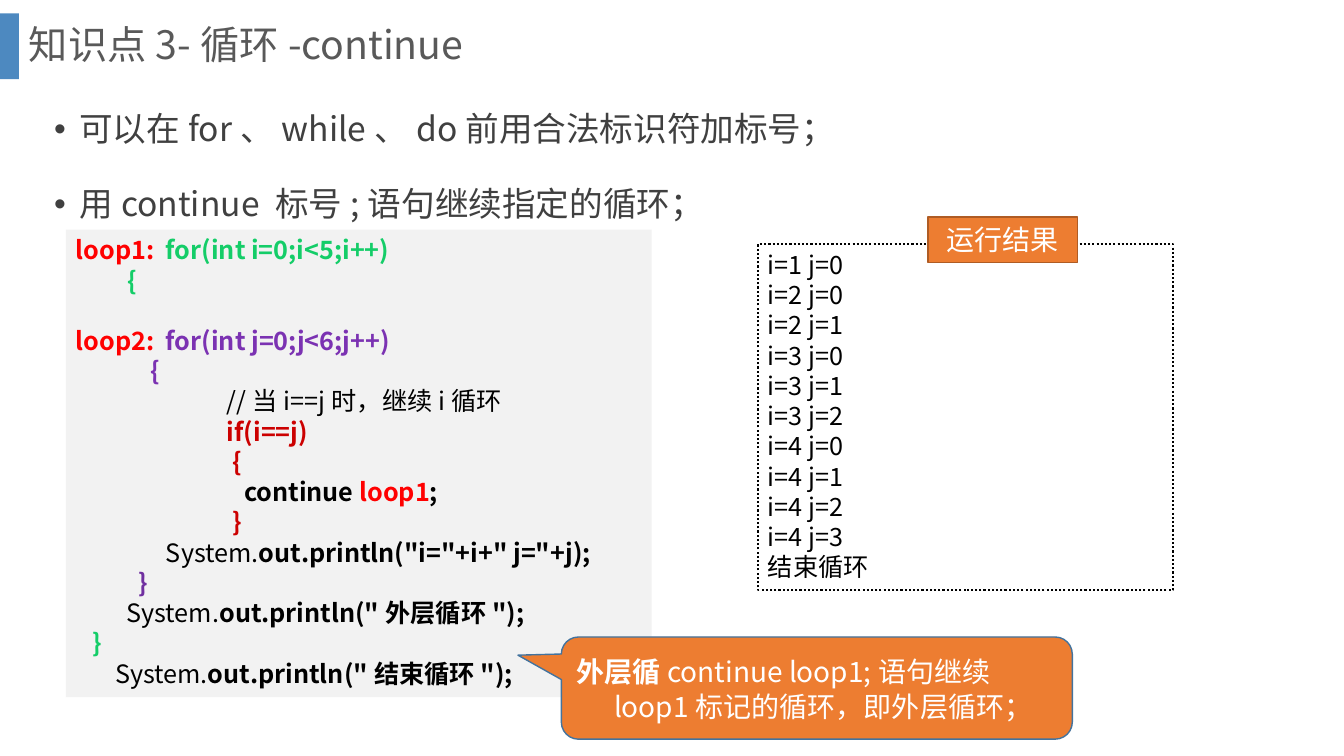
"""Build the slide on continue with loop labels."""
from lxml import etree
from pptx import Presentation
from pptx import util as u
from pptx.dml import color
from pptx.enum import dml, shapes, text
from pptx.oxml import ns

Pt = u.Pt
RGB = color.RGBColor
FONT = "Noto Sans CJK SC"
BLUE = RGB(0x2E, 0x75, 0xB6)
ORANGE = RGB(0xED, 0x7D, 0x31)
ORANGE_EDGE = RGB(0xAF, 0x5C, 0x24)
BLUE_EDGE = RGB(0x43, 0x73, 0x9E)
PANEL = RGB(0xF2, 0xF2, 0xF2)
WHITE = RGB(0xFF, 0xFF, 0xFF)
BLACK = RGB(0x00, 0x00, 0x00)
TITLE_GREY = RGB(0x59, 0x59, 0x59)
BODY_GREY = RGB(0x40, 0x40, 0x40)
RED = RGB(0xFF, 0x00, 0x00)
DARK_RED = RGB(0xCC, 0x00, 0x00)
GREEN = RGB(0x14, 0xCD, 0x68)
VIOLET = RGB(0x7B, 0x32, 0xB2)
PURPLE = RGB(0x70, 0x30, 0xA0)


def add_box(slide, kind, place, fill, line=None, width=1):
    shape = slide.shapes.add_shape(kind, *map(Pt, place))
    shape.shadow.inherit = False
    if fill is None:
        shape.fill.background()
    else:
        shape.fill.solid()
        shape.fill.fore_color.rgb = fill
    if line is None:
        shape.line.fill.background()
    else:
        shape.line.color.rgb = line
        shape.line.width = Pt(width)
    return shape


def write_lines(shape, lines, size, anchor, font=FONT, margin=0, indent=0, **formats):
    frame = shape.text_frame
    frame.word_wrap = True
    frame.auto_size = text.MSO_AUTO_SIZE.NONE
    frame.vertical_anchor = anchor
    for index, runs in enumerate(lines):
        paragraph = frame.paragraphs[0] if index == 0 else frame.add_paragraph()
        values = {"alignment": text.PP_ALIGN.LEFT, "space_before": Pt(0), **formats}
        if index == 0:
            values["space_before"] = Pt(0)
        for name, value in values.items():
            setattr(paragraph, name, value)
        properties = paragraph._p.get_or_add_pPr()
        properties.set("marL", str(Pt(margin)))
        properties.set("indent", str(Pt(indent)))
        for words, ink, bold in runs:
            run = paragraph.add_run()
            run.text = words
            for name, value in {"name": font, "size": Pt(size), "bold": bold}.items():
                setattr(run.font, name, value)
            run.font.color.rgb = ink
            east_asian = etree.SubElement(run._r.get_or_add_rPr(), ns.qn("a:ea"))
            east_asian.set("typeface", FONT)


presentation = Presentation()
presentation.slide_width = Pt(960)
presentation.slide_height = Pt(540)
slide = presentation.slides.add_slide(presentation.slide_layouts[1])
TOP, MIDDLE = text.MSO_ANCHOR.TOP, text.MSO_ANCHOR.MIDDLE
RECTANGLE = shapes.MSO_SHAPE.RECTANGLE

title, body = slide.shapes.title, slide.placeholders[1]
places = [(title, (13.5, 0, 911.5, 67)), (body, (31.5, 59, 867.5, 139.5))]
for placeholder, place in places:
    for side, value in zip(("left", "top", "width", "height"), place):
        setattr(placeholder, side, Pt(value))
write_lines(title, [[("知识点3-循环-continue", TITLE_GREY, False)]], 28, MIDDLE,
            line_spacing=0.9)
bullets = ["可以在for、while、do前用合法标识符加标号；", "用continue 标号;语句继续指定的循环；"]
write_lines(body, [[(bullet, BODY_GREY, False)] for bullet in bullets], 24, TOP,
            margin=18, indent=-18, line_spacing=Pt(43.6), space_before=Pt(10))

bar = add_box(slide, RECTANGLE, (0, 9.5, 13.5, 47), BLUE)
bar_color = bar.fill._xPr.find(ns.qn("a:solidFill"))[0]
etree.SubElement(bar_color, ns.qn("a:alpha")).set("val", "85000")

code = [
    [("loop1:  ", RED, True), ("for(int i=0;i<5;i++)", GREEN, True)],
    [("         {", GREEN, True)],
    [("loop2:  ", RED, True), ("for(int j=0;j<6;j++)", VIOLET, True)],
    [("             {", VIOLET, True)],
    [("//当i==j时，继续i循环", BLACK, False)],
    [("if(i==j)", DARK_RED, True)],
    [(" {", DARK_RED, True)],
    [("   continue ", BLACK, True), ("loop1", RED, True), (";", BLACK, True)],
    [(" }", DARK_RED, True)],
    [("                System.", BLACK, False),
     ('out.println("i="+i+" j="+j);', BLACK, True)],
    [("        ", BLACK, False), ("   }", PURPLE, True)],
    [("         System.", BLACK, False), ('out.println("外层循环");', BLACK, True)],
    [("   }", GREEN, True)],
    [("       System.", BLACK, False), ('out.println("结束循环");', BLACK, True)],
]
panel = add_box(slide, RECTANGLE, (47, 164, 418.5, 334), PANEL)
write_lines(panel, code, 18, TOP, line_spacing=Pt(21.6))
code_paragraphs = panel.text_frame.paragraphs
code_paragraphs[2].space_before = Pt(21.6)
for paragraph in code_paragraphs[4:9]:
    paragraph._p.get_or_add_pPr().set("marL", str(Pt(108)))

output = [f"i={i} j={j}" for i in range(1, 5) for j in range(i)] + ["结束循环"]
result = add_box(slide, RECTANGLE, (541.5, 174.5, 296.5, 247), None, BLACK, 1.5)
result.line.dash_style = dml.MSO_LINE.ROUND_DOT
write_lines(result, [[(line, BLACK, False)] for line in output], 18, TOP,
            line_spacing=Pt(21.6))

callout = add_box(slide, shapes.MSO_SHAPE.ROUNDED_RECTANGULAR_CALLOUT,
                  (401, 455, 365, 73), ORANGE, BLUE_EDGE)
for index, value in enumerate((-0.585, -0.322, 0.167)):
    callout.adjustments[index] = value
remark = [("外层循", WHITE, True),
          ("continue loop1;语句继续loop1标记的循环，即外层循环；", WHITE, False)]
write_lines(callout, [remark], 20, MIDDLE, margin=27, indent=-27, line_spacing=Pt(25))

label = add_box(slide, RECTANGLE, (663, 155, 106.5, 32.5), ORANGE, ORANGE_EDGE)
write_lines(label, [[("运行结果", WHITE, False)]], 20, MIDDLE, font="Calibri",
            alignment=text.PP_ALIGN.CENTER)

presentation.save("out.pptx")
